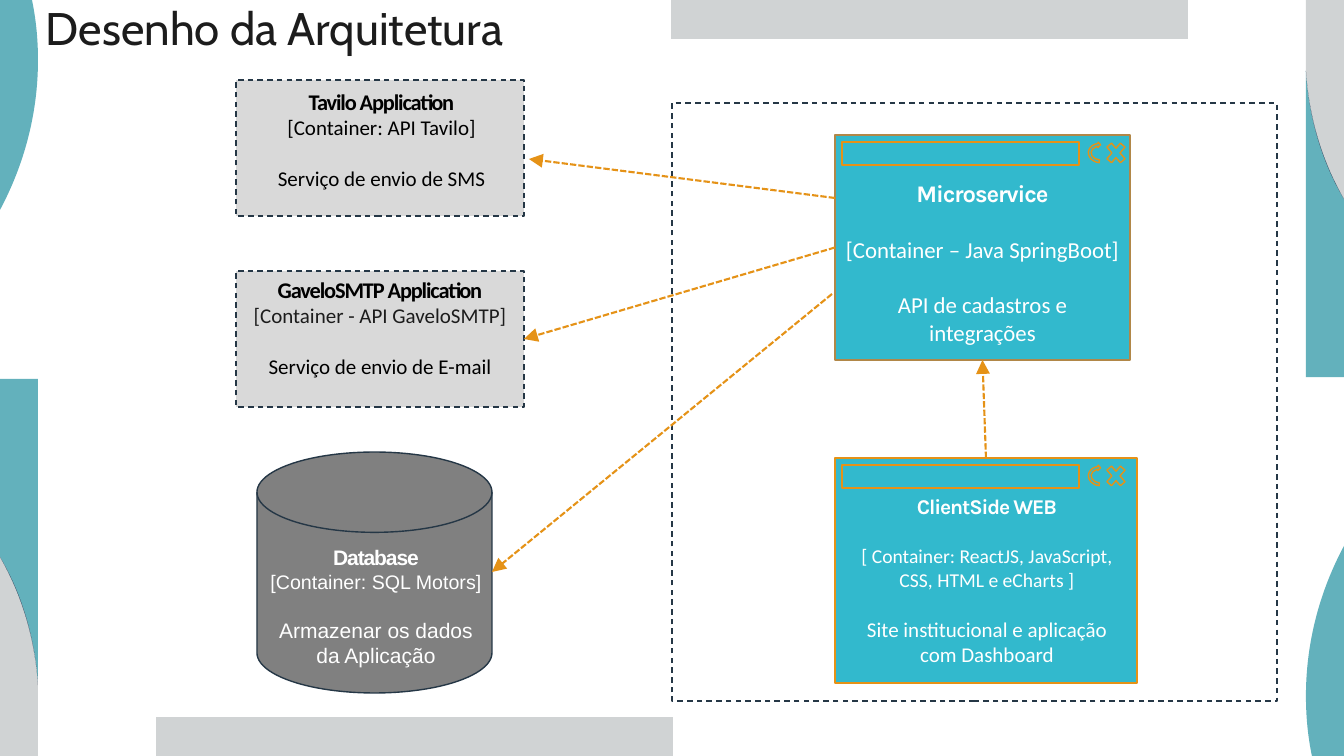
"""Build the architecture diagram slide."""
import pptx
import pptx.dml.color
import pptx.enum.dml
import pptx.enum.shapes
import pptx.enum.text
import pptx.oxml
import pptx.oxml.ns
import pptx.util

PX = 914400 / 100.8
W, H = 1344, 756
TEAL, GRAY, NAVY, ORANGE, CYAN = "63B1BC", "D0D3D4", "253746", "E59217", "32B9CD"
WHITE, BLACK, INK = "FFFFFF", "000000", "1C1C1C"
SHAPE = pptx.enum.shapes.MSO_SHAPE
DASH = pptx.enum.dml.MSO_LINE

# Each decoration also appears turned by half a turn; six numbers make a curve.
DECORATIONS = [
    (TEAL, [(32, 0), (0, 0), (0, 210), (24, 165, 38, 114, 38, 60), (38, 39, 36, 19, 32, 0)]),
    (GRAY, [(671, 0), (1188, 0), (1188, 39), (671, 39)]),
    (TEAL, [(38, 685), (38, 379), (0, 379), (0, 557), (22, 595, 35, 638, 38, 685)]),
    (GRAY, [(0, 557), (0, 756), (38, 756), (38, 685), (35, 639, 22, 596, 0, 557)]),
    ("1F2A44", [(38, 685), (35, 638, 22, 594, 0, 557), (22, 595, 35, 639, 38, 685)]),
]

BOXES = {
    "frame": (SHAPE.RECTANGLE, (672, 103, 605, 598), None, NAVY, DASH.DASH),
    "database": (SHAPE.FLOWCHART_MAGNETIC_DISK, (257, 452, 235, 241), "808080", NAVY, None),
    "sms": (SHAPE.RECTANGLE, (236, 80, 288, 136), "D9D9D9", NAVY, DASH.DASH),
    "mail": (SHAPE.RECTANGLE, (236, 271, 288, 136), "D9D9D9", NAVY, DASH.DASH),
    "service": (SHAPE.RECTANGLE, (835, 135, 295, 225), CYAN, "B18748", None),
    "client": (SHAPE.RECTANGLE, (835, 458, 302, 225), CYAN, ORANGE, None),
}
WINDOWS = ["service", "client"]
WINDOW_PARTS = [
    (SHAPE.RECTANGLE, (7, 7, 237, 23), 0),
    (SHAPE.MATH_MULTIPLY, (268, 3, 26, 30), 0),
    (SHAPE.CIRCULAR_ARROW, (254, 5, 22, 26), 275),
]

# Lines: text, size, font, colour, bold, space before
TEXTS = [
    ((843, 489, 288, 184), [
        ("ClientSide WEB", 15, "Karla", WHITE, True, 0),
        ("[ Container: ReactJS, JavaScript, CSS, HTML e eCharts ]", 14, "Calibri", WHITE, False, 18),
        ("Site institucional e aplicação com Dashboard", 15, "Calibri", WHITE, False, 18)]),
    ((258, 540, 236, 136), [
        ("Database", 15, "Arial", WHITE, True, 0),
        ("[Container: SQL Motors]", 14, "Arial", WHITE, False, 0),
        ("Armazenar os dados da Aplicação", 15, "Arial", WHITE, False, 17)]),
    ((236, 83, 291, 114), [
        ("Tavilo Application", 16, "Calibri", BLACK, True, 0),
        ("[Container: API Tavilo]", 15, "Calibri", BLACK, False, 0),
        ("Serviço de envio de SMS", 15, "Calibri", BLACK, False, 18)]),
    ((236, 271, 288, 114), [
        ("GaveloSMTP Application", 16, "Calibri", BLACK, True, 0),
        ("[Container - API GaveloSMTP]", 15, "Calibri", INK, False, 0),
        ("Serviço de envio de E-mail", 15, "Calibri", BLACK, False, 18)]),
]
SERVICE_LINES = [
    ("Microservice", 17, "Karla", WHITE, True, 0),
    ("[Container – Java SpringBoot]", 16.3, "Calibri", WHITE, False, 20),
    ("API de cadastros e integrações", 16.3, "Calibri", WHITE, False, 20),
]
TITLE = ((36, 1, 1197, 62), [("Desenho da Arquitetura", 32.6, "Cabin", INK, False, 0)])

# Arrows: start, end, joined start (box, side), joined end (box, side)
ARROWS = [
    ((832, 294), (492, 572), None, None),
    ((986, 458), (982, 360), ("client", 0), ("service", 2)),
    ((835, 198), (529, 159), None, None),
    ((835, 248), (525, 339), ("service", 1), ("mail", 3)),
]


def emu(*values):
    return [round(v * PX) for v in values]


def rgb(color):
    return pptx.dml.color.RGBColor.from_string(color)


def style(sp, fill=None, line=None, dash=None):
    sp.shadow.inherit = False
    if fill:
        sp.fill.solid()
        sp.fill.fore_color.rgb = rgb(fill)
    else:
        sp.fill.background()
    if line:
        sp.line.color.rgb = rgb(line)
        sp.line.width = pptx.util.Pt(1)
        if dash:
            sp.line.dash_style = dash
    else:
        sp.line.fill.background()


def add_outline(s, parts, turned):
    points = [part[i:i + 2] for part in parts for i in range(0, len(part), 2)]
    trace = [emu(W - x, H - y) if turned else emu(x, y) for x, y in points]
    builder = s.shapes.build_freeform(*trace[0])
    builder.add_line_segments(trace[1:], close=True)
    sp = builder.convert_to_shape()
    steps = iter(list(sp._element.iter(pptx.oxml.ns.qn("a:lnTo"))))
    for part in parts[1:]:
        step = next(steps)
        if len(part) == 6:
            curve = step.makeelement(pptx.oxml.ns.qn("a:cubicBezTo"), {})
            step.addprevious(curve)
            for old in (step, next(steps), next(steps)):
                curve.append(old[0])
                old.getparent().remove(old)
    return sp


def write(tf, lines, align, spacing=None):
    tf.word_wrap = True
    for i, (text, size, font, color, bold, before) in enumerate(lines):
        p = tf.paragraphs[0] if i == 0 else tf.add_paragraph()
        p.alignment = align
        p.space_before = pptx.util.Pt(before)
        if spacing:
            p.line_spacing = spacing
        r = p.add_run()
        r.text = text
        for name, value in {"size": pptx.util.Pt(size), "name": font, "bold": bold}.items():
            setattr(r.font, name, value)
        r.font.color.rgb = rgb(color)
        if bold:
            r._r.get_or_add_rPr().set("spc", "-80")


def add_arrow(s, boxes, start, end, begin_at, end_at):
    line = s.shapes.add_connector(pptx.enum.shapes.MSO_CONNECTOR.STRAIGHT, *emu(*start, *end))
    if begin_at:
        line.begin_connect(boxes[begin_at[0]], begin_at[1])
    if end_at:
        line.end_connect(boxes[end_at[0]], end_at[1])
    line.line.color.rgb = rgb(ORANGE)
    line.line.width = pptx.util.Pt(1.5)
    line.line.dash_style = DASH.SQUARE_DOT
    head = {"type": "triangle", "w": "lg", "len": "lg"}
    tail = line._element.makeelement(pptx.oxml.ns.qn("a:tailEnd"), head)
    line.line._get_or_add_ln().append(tail)
    sp_pr = line._element.spPr
    sp_pr.append(sp_pr.makeelement(pptx.oxml.ns.qn("a:effectLst"), {}))


def main():
    prs = pptx.Presentation()
    prs.slide_width, prs.slide_height = emu(W, H)
    s = prs.slides.add_slide(prs.slide_layouts[6])
    center = pptx.enum.text.PP_ALIGN.CENTER

    for turned in (False, True):
        for color, parts in DECORATIONS:
            style(add_outline(s, parts, turned), color)

    title_at, title_lines = TITLE
    write(s.shapes.add_textbox(*emu(*title_at)).text_frame, title_lines,
          pptx.enum.text.PP_ALIGN.LEFT, 0.9)

    boxes = {}
    for name, (kind, at, fill, line, dash) in BOXES.items():
        boxes[name] = s.shapes.add_shape(kind, *emu(*at))
        style(boxes[name], fill, line, dash)
    for name in WINDOWS:
        left, top = BOXES[name][1][:2]
        for kind, (x, y, w, h), angle in WINDOW_PARTS:
            sp = s.shapes.add_shape(kind, *emu(left + x, top + y, w, h))
            sp.rotation = angle
            style(sp, None, ORANGE)

    tf = boxes["service"].text_frame
    tf.vertical_anchor = pptx.enum.text.MSO_ANCHOR.MIDDLE
    tf.margin_top = emu(35)[0]
    write(tf, SERVICE_LINES, center)
    for at, lines in TEXTS:
        write(s.shapes.add_textbox(*emu(*at)).text_frame, lines, center)
    for arrow in ARROWS:
        add_arrow(s, boxes, *arrow)
    prs.save("out.pptx")


if __name__ == "__main__":
    main()
